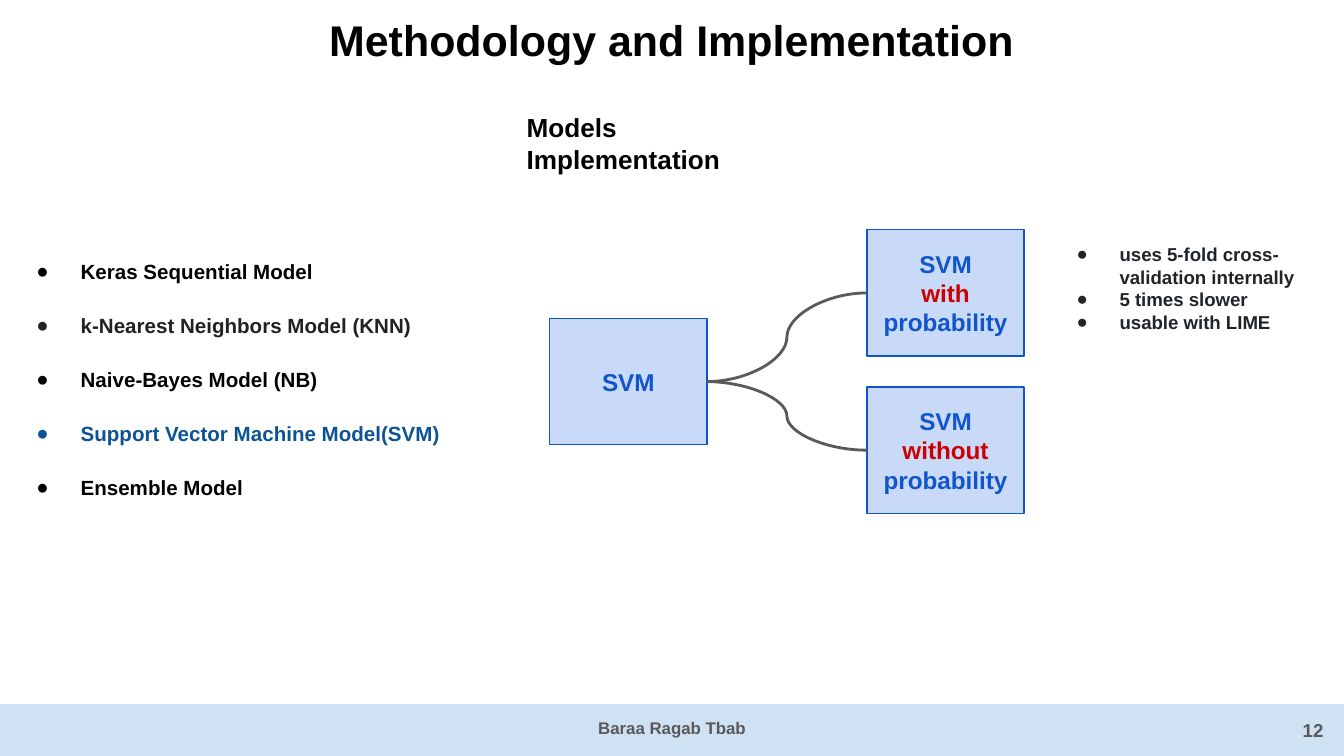
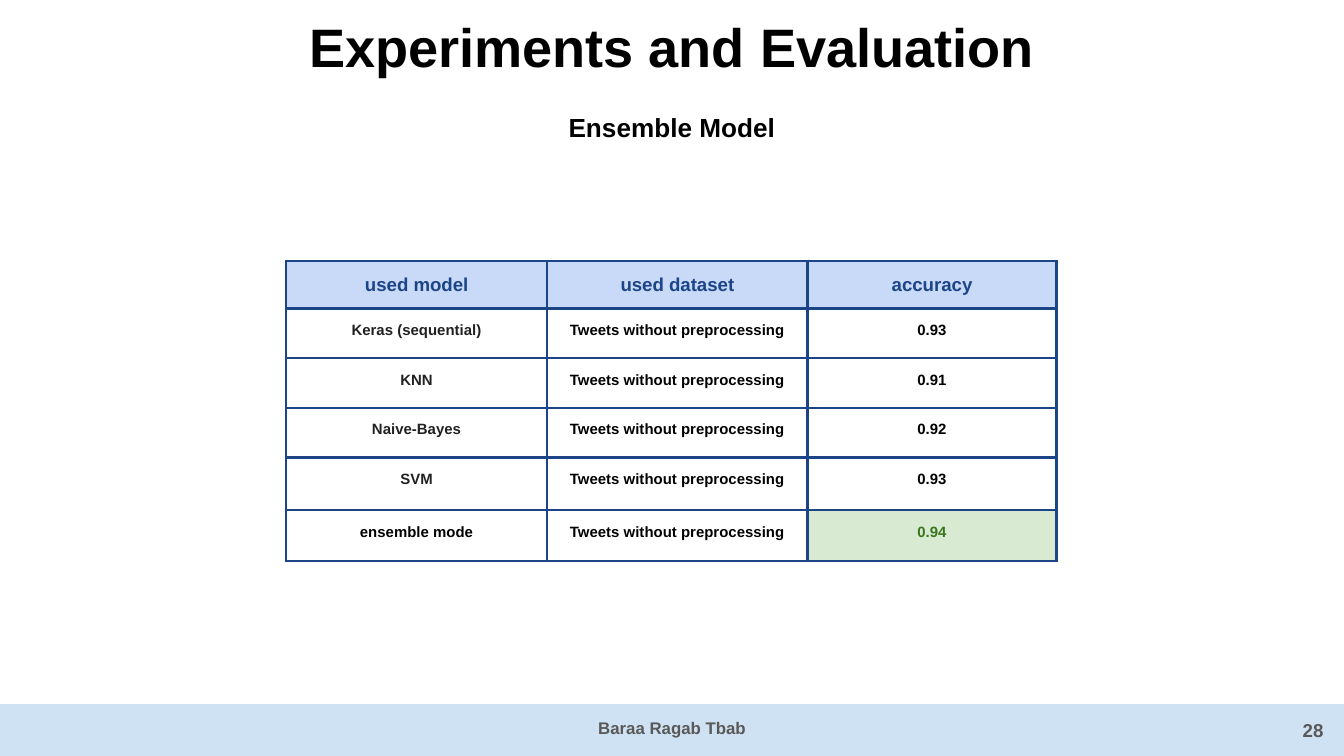
from lxml.etree import SubElement
from pptx import Presentation
from pptx.dml.color import RGBColor
from pptx.enum.shapes import MSO_CONNECTOR, MSO_SHAPE
from pptx.enum.text import MSO_ANCHOR, MSO_AUTO_SIZE, PP_ALIGN
from pptx.oxml.ns import qn
from pptx.util import Inches, Pt

FONT = "Arial"
BLACK, DARK, INK, GREY = "000000", "212121", "212529", "595959"
BAND, PALE, BLUE, RED = "CFE2F3", "C9DAF8", "1155CC", "CC0000"
NAVY, DEEP, MINT, GREEN = "1C4587", "0B5394", "D9EAD3", "38761D"
AUTHOR = "Baraa Ragab Tbab"
WIDE = 10
HIGH = WIDE * 9 / 16
BASE = (0, 5.24, WIDE, HIGH - 5.24)
HEAD = (0, 0, WIDE, 0.73)


def color(code):
    """Turn a hex string into a colour."""
    return RGBColor.from_string(code)


def place(shape, box):
    """Move a shape to a box given in inches."""
    shape.left, shape.top, shape.width, shape.height = map(Inches, box)


def add_run(para, text, size, hue):
    """Add one bold run to a paragraph."""
    run = para.add_run()
    run.text = text
    font = run.font
    font.name, font.size, font.bold = FONT, Pt(size), True
    font.color.rgb = color(hue)


def add_dot(para, hue, hang):
    """Give a paragraph a round bullet with a hanging indent."""
    props = para._p.get_or_add_pPr()
    props.set("marL", str(Inches(0.5)))
    props.set("indent", str(-Inches(hang)))
    tint = SubElement(props, qn("a:buClr"))
    SubElement(tint, qn("a:srgbClr"), val=hue)
    SubElement(props, qn("a:buFont"), typeface=FONT)
    SubElement(props, qn("a:buChar"), char="●")


def write(shape, lines, size, align=PP_ALIGN.CENTER, anchor=MSO_ANCHOR.TOP,
          gap=0, hang=0, pitch=1.0):
    """Fill a shape with (text, colour) lines, one paragraph each."""
    frame = shape.text_frame
    frame.word_wrap = True
    frame.auto_size = MSO_AUTO_SIZE.NONE
    frame.vertical_anchor = anchor
    frame.margin_left = frame.margin_right = Inches(0.1)
    frame.margin_top = frame.margin_bottom = Inches(0.1)
    for i, (text, hue) in enumerate(lines):
        para = frame.add_paragraph() if i else frame.paragraphs[0]
        para.alignment = align
        para.line_spacing = pitch
        para.space_before = Pt(gap if i else 0)
        para.space_after = Pt(0)
        if hang:
            add_dot(para, hue, hang)
        add_run(para, text, size, hue)


def add_block(slide, box, fill, lines, size, edge=None, pitch=1.0):
    """Draw a filled rectangle with centred text."""
    block = slide.shapes.add_shape(MSO_SHAPE.RECTANGLE, *map(Inches, box))
    block.shadow.inherit = False
    block.fill.solid()
    block.fill.fore_color.rgb = color(fill)
    if edge:
        block.line.color.rgb = color(edge)
        block.line.width = Pt(0.75)
    else:
        block.line.fill.background()
    write(block, lines, size, anchor=MSO_ANCHOR.MIDDLE, pitch=pitch)
    return block


def add_foot(slide, box, page):
    """Draw the footer band with the author and the page number."""
    left, top, width, height = box
    add_block(slide, box, BAND, [(AUTHOR, GREY)], 9, pitch=0.8)
    spot = (left + width - 0.46, top, 0.46, height)
    add_block(slide, spot, BAND, [(page, GREY)], 10)


def add_note(slide, box, text, align):
    """Add the heading below the title."""
    note = slide.shapes.add_textbox(*map(Inches, box))
    write(note, [(text, BLACK)], 14, align)


def start(deck, layout, title, size, page):
    """Add a slide with its title and footer."""
    slide = deck.slides.add_slide(deck.slide_layouts[layout])
    place(slide.shapes.title, HEAD)
    write(slide.shapes.title, [(title, BLACK)], size)
    add_foot(slide, BASE, page)
    return slide


def add_list(holder, box, lines, size, hang, gap=0):
    """Place a body placeholder and fill it with bullets."""
    place(holder, box)
    write(holder, lines, size, PP_ALIGN.LEFT, gap=gap, hang=hang)


def join(slide, start_box, end_box):
    """Link the left side of one box to the right side of another."""
    link = slide.shapes.add_connector(MSO_CONNECTOR.CURVE, 0, 0, 0, 0)
    link.begin_connect(start_box, 1)
    link.end_connect(end_box, 3)
    link.line.color.rgb = color(GREY)
    link.line.width = Pt(1.5)
    SubElement(link._element.spPr, qn("a:effectLst"))


def add_tree(slide, box):
    """Draw the SVM box and its two variants."""
    left, top, width, height = box
    wide, high = 1.17, 0.94
    root = add_block(slide, (left, top + 0.66, wide, high), PALE,
                     [("SVM", BLUE)], 13, BLUE)
    step = height - high
    for i, word in enumerate(("with", "without")):
        spot = (left + width - wide, top + i * step, wide, high)
        lines = [("SVM", BLUE), (word, RED), ("probability", BLUE)]
        leaf = add_block(slide, spot, PALE, lines, 13, BLUE)
        join(slide, leaf, root)


def add_edges(cell):
    """Draw a navy border on each side of a cell."""
    props = cell._tc.get_or_add_tcPr()
    for i, side in enumerate(("lnL", "lnR", "lnT", "lnB")):
        line = props.makeelement(qn("a:" + side), {"w": str(Pt(1.5))})
        fill = SubElement(line, qn("a:solidFill"))
        SubElement(fill, qn("a:srgbClr"), val=NAVY)
        props.insert(i, line)


def set_cell(cell, text, size, hue, fill):
    """Fill, border and write one table cell."""
    if fill:
        cell.fill.solid()
        cell.fill.fore_color.rgb = color(fill)
    else:
        cell.fill.background()
    add_edges(cell)
    cell.margin_left = cell.margin_right = Inches(0.1)
    cell.margin_top = cell.margin_bottom = Inches(0.1)
    para = cell.text_frame.paragraphs[0]
    para.alignment = PP_ALIGN.CENTER
    add_run(para, text, size, hue)


def add_scores(slide, spot, scores):
    """Build the table of model accuracies."""
    cols = (1.94, 1.94, 1.85)
    rows = (0.31, 0.37, 0.37, 0.37, 0.39, 0.38)
    box = (*spot, sum(cols), sum(rows))
    grid = slide.shapes.add_table(len(rows), len(cols),
                                  *map(Inches, box)).table
    grid.first_row = grid.horz_banding = False
    for col, wide in zip(grid.columns, cols):
        col.width = Inches(wide)
    for row, high in zip(grid.rows, rows):
        row.height = Inches(high)
    for i, text in enumerate(("used model", "used dataset", "accuracy")):
        set_cell(grid.cell(0, i), text, 10, NAVY, PALE)
    for i, (model, score) in enumerate(scores, 1):
        last = i == len(scores)
        set_cell(grid.cell(i, 0), model, 8, BLACK if last else DARK, None)
        set_cell(grid.cell(i, 1), "Tweets without preprocessing", 8,
                 BLACK, None)
        set_cell(grid.cell(i, 2), score, 8, GREEN if last else BLACK,
                 MINT if last else None)


def add_models(deck):
    """Build the slide on the models."""
    slide = start(deck, 3, "Methodology and Implementation", 23, "12")
    add_note(slide, (3.82, 0.73, 2.34, 0.44), "Models Implementation",
             PP_ALIGN.LEFT)
    models = [("Keras Sequential Model", BLACK),
              ("k-Nearest Neighbors Model (KNN)", DARK),
              ("Naive-Bayes Model (NB)", BLACK),
              ("Support Vector Machine Model(SVM)", DEEP),
              ("Ensemble Model", BLACK)]
    facts = ("uses 5-fold cross-validation internally", "5 times slower",
             "usable with LIME")
    holders = slide.placeholders
    add_list(holders[1], (0, 1.83, 4, 1.99), models, 11, 0.33, 15.7)
    add_list(holders[2], (7.73, 1.71, 2.27, 1.04),
             [(fact, INK) for fact in facts], 10, 0.32)
    add_tree(slide, (4.09, 1.71, 3.53, 2.11))


def add_results(deck):
    """Build the slide on the results."""
    slide = start(deck, 5, "Experiments and Evaluation", 29, "28")
    add_note(slide, (4.08, 0.73, 1.84, 0.44), "Ensemble Model",
             PP_ALIGN.CENTER)
    scores = [("Keras (sequential)", "0.93"), ("KNN", "0.91"),
              ("Naive-Bayes", "0.92"), ("SVM", "0.93"),
              ("ensemble mode", "0.94")]
    add_scores(slide, (2.13, 1.94), scores)


def main():
    """Build and save the deck."""
    deck = Presentation()
    deck.slide_width, deck.slide_height = Inches(WIDE), Inches(HIGH)
    add_models(deck)
    add_results(deck)
    deck.save("out.pptx")


if __name__ == "__main__":
    main()
